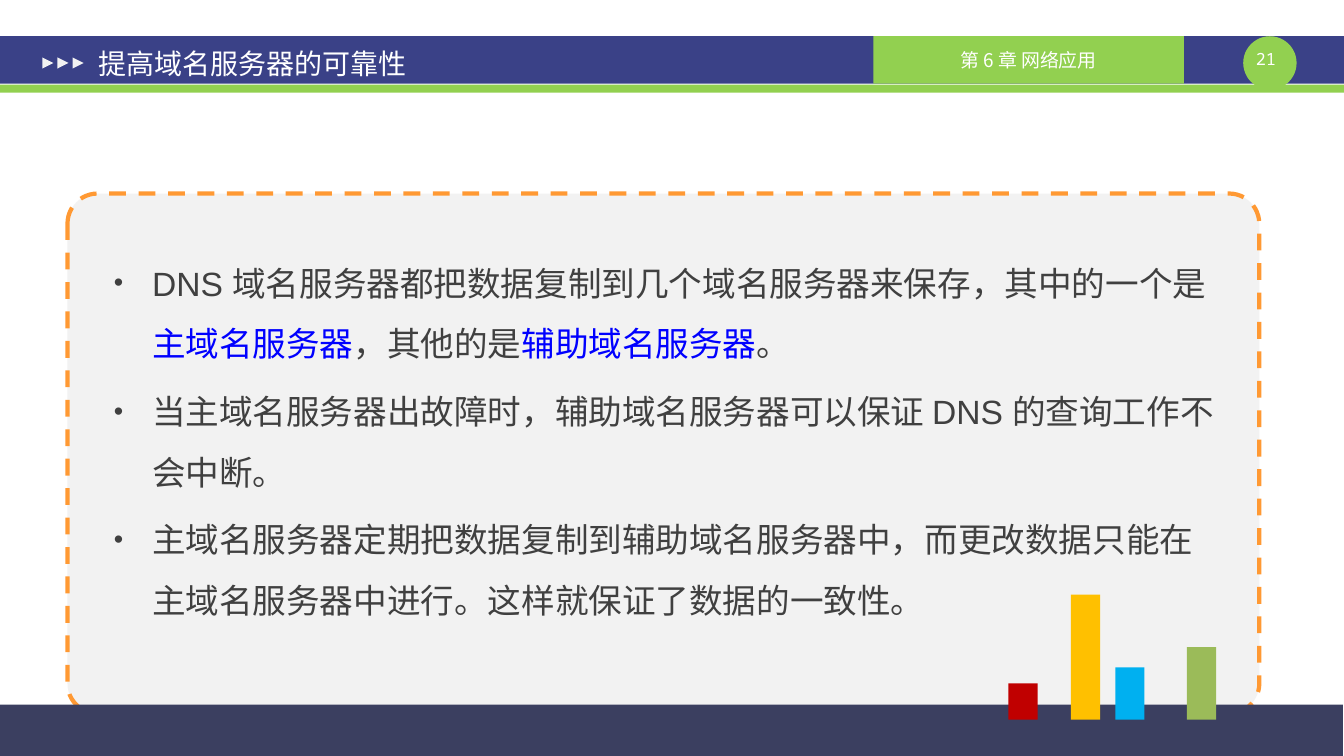
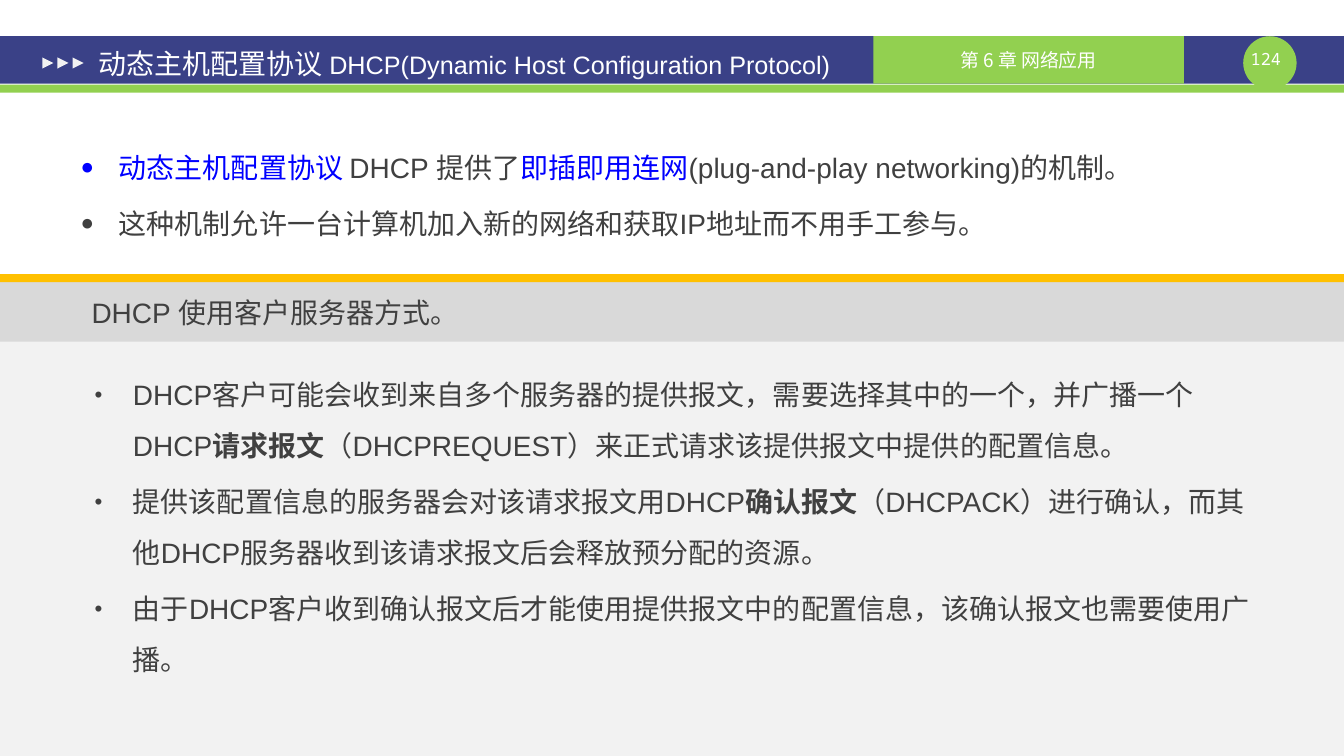
from dataclasses import dataclass

from lxml import etree
from pptx import Presentation
from pptx.dml.color import RGBColor
from pptx.enum.dml import MSO_LINE
from pptx.enum.shapes import MSO_SHAPE
from pptx.enum.text import MSO_ANCHOR, PP_ALIGN
from pptx.oxml.ns import qn
from pptx.util import Inches, Pt

RECTANGLE = MSO_SHAPE.RECTANGLE
ROUNDED = MSO_SHAPE.ROUNDED_RECTANGLE
OVAL = MSO_SHAPE.OVAL
TRIANGLE = MSO_SHAPE.ISOSCELES_TRIANGLE
DASH = MSO_LINE.DASH
MIDDLE = MSO_ANCHOR.MIDDLE
TOP = MSO_ANCHOR.TOP
LEFT = PP_ALIGN.LEFT
CENTER = PP_ALIGN.CENTER


@dataclass(frozen=True)
class Theme:
    # Colours
    navy: str = "3A4187"
    green: str = "92D050"
    white: str = "FFFFFF"
    panel: str = "F2F2F2"
    band: str = "D9D9D9"
    dashes: str = "FF9933"
    footer: str = "3B3F60"
    gold: str = "FFC000"
    red: str = "C00000"
    sky: str = "00B0F0"
    olive: str = "9BBB59"
    ink: str = "404040"
    accent: str = "0000FF"
    # Fonts
    latin: str = "Arial"
    asian: str = "Noto Sans CJK SC"
    mono: str = "Noto Sans Mono"
    # Type sizes in points
    large: float = 24
    normal: float = 20
    small: float = 18
    chapter: float = 13.5
    number: float = 12
    # Line pitch and paragraph gap, as shares of the type size
    pitch: float = 1.81
    gap: float = 0.2


THEME = Theme()
WIDTH, HEIGHT = 13.34, 7.5
INDENT = 0.38
WIDE_INSETS = (0.13, 0.07)
PLAIN_INSETS = (0.1, 0.05)
ACCENT = {"color": THEME.accent}
BOLD = {"bold": True}


def set_all(target, values):
    for name, value in values.items():
        setattr(target, name, value)


def add_block(page, kind, area, color):
    """Add a filled shape without outline or shadow."""
    block = page.shapes.add_shape(kind, *map(Inches, area))
    block.shadow.inherit = False
    block.fill.solid()
    block.fill.fore_color.rgb = RGBColor.from_string(color)
    block.line.fill.background()
    return block


def add_span(para, text, size, color=THEME.ink, bold=False, font=THEME.latin):
    span = para.add_run()
    span.text = text
    set_all(span.font, {"name": font, "size": Pt(size), "bold": bold})
    span.font.color.rgb = RGBColor.from_string(color)
    asian = etree.SubElement(span._r.get_or_add_rPr(), qn("a:ea"))
    asian.set("typeface", THEME.asian)


def add_text(page, area, spans, insets=PLAIN_INSETS, anchor=TOP, align=LEFT):
    """Add one line of text; each span is a text with its format values."""
    box = page.shapes.add_textbox(*map(Inches, area))
    side, edge = map(Inches, insets)
    set_all(box.text_frame, {
        "word_wrap": True, "vertical_anchor": anchor,
        "margin_left": side, "margin_right": side,
        "margin_top": edge, "margin_bottom": edge,
    })
    para = box.text_frame.paragraphs[0]
    para.alignment = align
    for text, values in spans:
        add_span(para, text, **values)
    return box


def add_bullet(para, symbol):
    properties = para._p.get_or_add_pPr()
    properties.set("marL", str(Inches(INDENT)))
    properties.set("indent", str(-Inches(INDENT)))
    for tag, name, value in (("a:buSzPct", "val", "80000"),
                             ("a:buFont", "typeface", THEME.latin),
                             ("a:buChar", "char", symbol)):
        etree.SubElement(properties, qn(tag)).set(name, value)


def add_bullets(page, area, items, size, symbol="•"):
    """Add a bulleted list; each item is a list of spans."""
    frame = add_text(page, area, [], WIDE_INSETS).text_frame
    for index, spans in enumerate(items):
        para = frame.add_paragraph() if index else frame.paragraphs[0]
        add_bullet(para, symbol)
        set_all(para, {
            "line_spacing": Pt(size * THEME.pitch),
            "space_before": Pt(size * THEME.gap if index else 0),
        })
        for text, values in spans:
            add_span(para, text, size, **values)


def add_page(deck, number, title, title_width):
    """Add a page with the shared header."""
    page = deck.slides.add_slide(deck.slide_layouts[6])
    # Header bands and page number
    add_block(page, RECTANGLE, (0, 0.36, WIDTH, 0.47), THEME.navy)
    add_block(page, RECTANGLE, (0, 0.84, WIDTH, 0.08), THEME.green)
    add_block(page, OVAL, (12.34, 0.36, 0.53, 0.53), THEME.green)
    label = {"size": THEME.number, "color": THEME.white, "font": THEME.mono}
    add_text(page, (12.3, 0.48, 0.53, 0.2), [(number, label)], (0, 0),
             align=CENTER)
    # Chapter tab
    tab = (8.67, 0.36, 3.08, 0.47)
    add_block(page, RECTANGLE, tab, THEME.green)
    label = {"size": THEME.chapter, "color": THEME.white, "font": THEME.asian}
    add_text(page, tab, [("第 6 章 网络应用", label)], anchor=MIDDLE,
             align=CENTER)
    # Arrow marks
    for index in range(3):
        mark = add_block(page, TRIANGLE,
                         (0.42 + 0.15 * index, 0.57, 0.11, 0.11), THEME.panel)
        mark.rotation = 90
    # Title
    spans = [(text, {"size": size, "color": THEME.white})
             for text, size in title]
    add_text(page, (0.85, 0.39, title_width, 0.47), spans, WIDE_INSETS, MIDDLE)
    return page


def build_reliability(deck):
    page = add_page(deck, "21", [("提高域名服务器的可靠性", THEME.normal)], 5.83)
    # Dashed panel
    panel = add_block(page, ROUNDED, (0.67, 1.92, 11.83, 5.16), THEME.panel)
    panel.adjustments[0] = 0.058
    panel.line.color.rgb = RGBColor.from_string(THEME.dashes)
    set_all(panel.line, {"width": Pt(3), "dash_style": DASH})
    # Footer with bars standing on one base line
    add_block(page, RECTANGLE, (0, 6.99, 13.33, HEIGHT - 6.99), THEME.footer)
    base = 7.14
    for left, height, color in ((10.01, 0.36, THEME.red),
                                (10.63, 1.24, THEME.gold),
                                (11.07, 0.52, THEME.sky),
                                (11.78, 0.72, THEME.olive)):
        add_block(page, RECTANGLE, (left, base - height, 0.29, height), color)
    # Body
    add_bullets(page, (1, 2.33, 11.26, 4.42), [
        [("DNS 域名服务器都把数据复制到几个域名服务器来保存，其中的一个是", {}),
         ("主域名服务器", ACCENT), ("，其他的是", {}),
         ("辅助域名服务器", ACCENT), ("。", {})],
        [("当主域名服务器出故障时，辅助域名服务器可以保证 DNS 的查询工作不会中断。", {})],
        [("主域名服务器定期把数据复制到辅助域名服务器中，而更改数据只能在"
          "主域名服务器中进行。这样就保证了数据的一致性。", {})],
    ], THEME.large)


def build_dhcp(deck):
    page = add_page(deck, "124", [
        ("动态主机配置协议 ", THEME.normal),
        ("DHCP(Dynamic Host Configuration Protocol)", THEME.small),
    ], 8.11)
    # Introduction
    add_bullets(page, (0.67, 1.25, 12.01, 1.4), [
        [("动态主机配置协议 ", ACCENT), ("DHCP 提供了", {}),
         ("即插即用连网", ACCENT), ("(plug-and-play networking)的机制。", {})],
        [("这种机制允许一台计算机加入新的网络和获取IP地址而不用手工参与。", {})],
    ], THEME.normal, "●")
    # Lower panel with its heading
    add_block(page, RECTANGLE, (0, 3.36, WIDTH, HEIGHT - 3.36), THEME.panel)
    add_block(page, RECTANGLE, (0, 2.8, WIDTH, 0.59), THEME.band)
    add_block(page, RECTANGLE, (0, 2.72, WIDTH, 0.08), THEME.gold)
    add_text(page, (0.81, 2.88, 11.75, 0.48),
             [("DHCP 使用客户服务器方式。", {"size": THEME.normal})])
    # Message exchange
    add_bullets(page, (0.81, 3.51, 11.86, 3.98), [
        [("DHCP客户可能会收到来自多个服务器的提供报文，需要选择其中的一个，"
          "并广播一个DHCP", {}),
         ("请求报文", BOLD),
         ("（DHCPREQUEST）来正式请求该提供报文中提供的配置信息。", {})],
        [("提供该配置信息的服务器会对该请求报文用DHCP", {}),
         ("确认报文", BOLD),
         ("（DHCPACK）进行确认，而其他DHCP服务器收到该请求报文后会"
          "释放预分配的资源。", {})],
        [("由于DHCP客户收到确认报文后才能使用提供报文中的配置信息，"
          "该确认报文也需要使用广播。", {})],
    ], THEME.normal)


def main():
    deck = Presentation()
    set_all(deck, {"slide_width": Inches(WIDTH), "slide_height": Inches(HEIGHT)})
    build_reliability(deck)
    build_dhcp(deck)
    deck.save("out.pptx")


if __name__ == "__main__":
    main()
